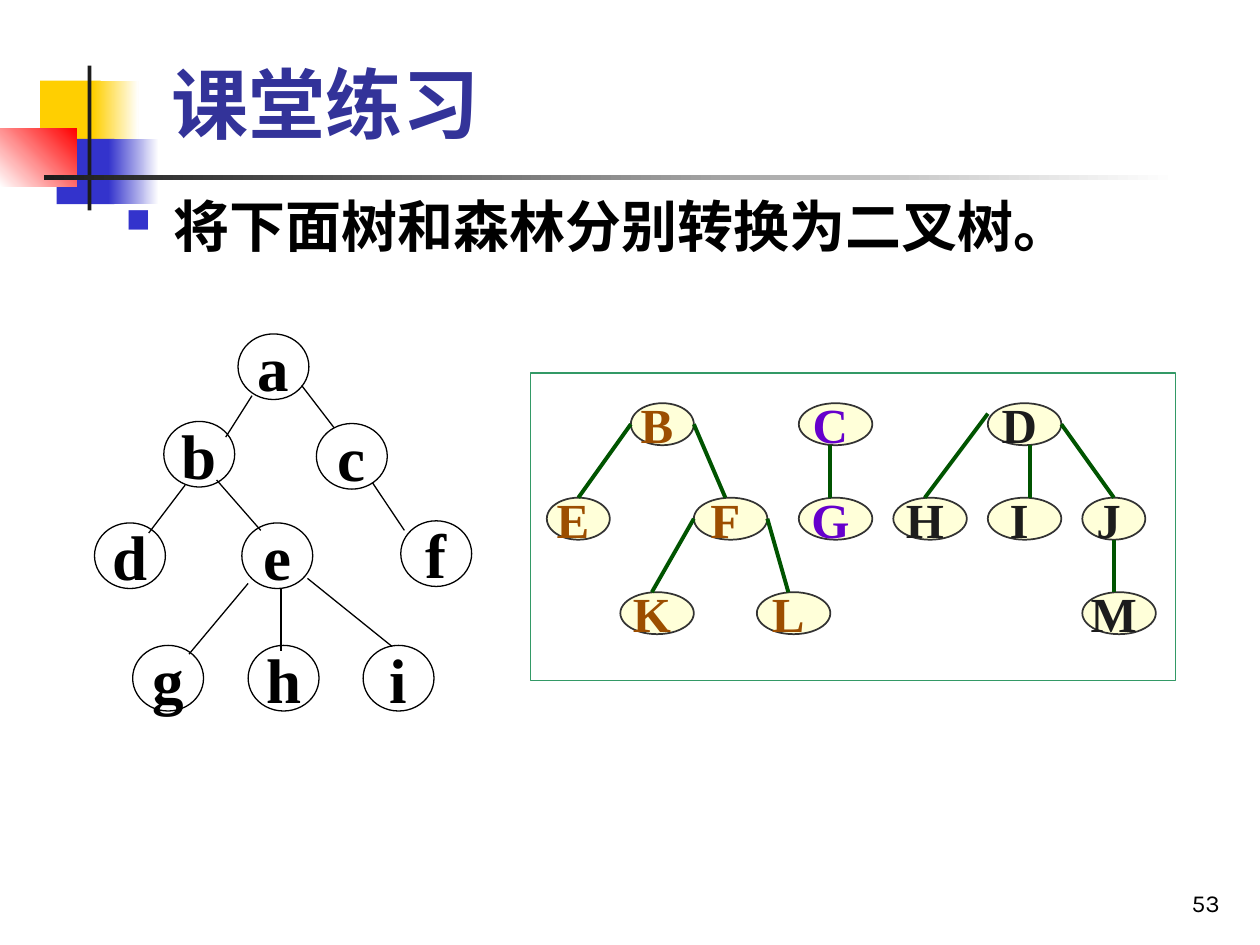
from dataclasses import dataclass

from lxml.etree import SubElement
from pptx import Presentation
from pptx.dml.color import RGBColor
from pptx.enum.shapes import MSO_CONNECTOR, MSO_SHAPE
from pptx.enum.text import MSO_ANCHOR, MSO_AUTO_SIZE, PP_ALIGN
from pptx.oxml.ns import qn
from pptx.util import Pt


@dataclass(frozen=True)
class Theme:
    font: str = "Karla"
    node_font: str = "Times New Roman"
    title: str = "333399"
    text: str = "000000"
    white: str = "FFFFFF"
    yellow: str = "FFCF01"
    blue: str = "3333CC"
    red: str = "FF0000"
    dark: str = "1C1C1C"
    node_fill: str = "FFFFD9"
    node_line: str = "333333"
    edge: str = "005400"
    frame: str = "339966"
    brown: str = "9C4E00"
    purple: str = "6600CC"
    title_size: int = 44
    body_size: int = 32
    tree_size: int = 36
    forest_size: int = 28
    gap_size: int = 24
    number_size: int = 14


THEME = Theme()


def rgb(value):
    return RGBColor.from_string(value)


def add_run(paragraph, text, size, color, font=THEME.font, bold=False):
    run = paragraph.add_run()
    run.text = text
    run.font.name = font
    run.font.size = Pt(size)
    run.font.bold = bold
    run.font.color.rgb = rgb(color)


def add_outline(slide, kind, box, fill=None, line=None, width=0.75):
    outline = slide.shapes.add_shape(kind, *map(Pt, box))
    outline.shadow.inherit = False
    if fill:
        outline.fill.solid()
        outline.fill.fore_color.rgb = rgb(fill)
    else:
        outline.fill.background()
    if line:
        outline.line.color.rgb = rgb(line)
        outline.line.width = Pt(width)
    else:
        outline.line.fill.background()
    return outline


def add_fade(slide, box, start, end, angle=0):
    fade = add_outline(slide, MSO_SHAPE.RECTANGLE, box)
    fade.fill.gradient()
    fade.fill.gradient_angle = angle
    for stop, color in zip(fade.fill.gradient_stops, (start, end)):
        stop.color.rgb = rgb(color)


def add_node(slide, box, runs, fill=None, line=THEME.text, width=0.75):
    node = add_outline(slide, MSO_SHAPE.OVAL, box, fill, line, width)
    frame = node.text_frame
    frame.word_wrap = False
    frame.vertical_anchor = MSO_ANCHOR.MIDDLE
    label = frame.paragraphs[0]
    label.alignment = PP_ALIGN.CENTER
    for text, size, color, bold in runs:
        add_run(label, text, size, color, THEME.node_font, bold)


def add_edge(slide, start, end, color, width):
    edge = slide.shapes.add_connector(
        MSO_CONNECTOR.STRAIGHT, *map(Pt, (*start, *end)))
    edge.line.color.rgb = rgb(color)
    edge.line.width = Pt(width)
    SubElement(edge.element.spPr, qn("a:effectLst"))


def add_ornament(slide, left, top):
    """Coloured squares and the two crossing rules beside the title."""
    def at(x, y, width, height):
        return left + x, top + y, width, height

    square = MSO_SHAPE.RECTANGLE
    add_outline(slide, square, at(23, 8.6, 34.5, 37.4), THEME.yellow)
    add_fade(slide, at(53.3, 8.6, 25.9, 37.4), THEME.yellow, THEME.white)
    add_outline(slide, square, at(32.4, 41.8, 33, 37.4), THEME.blue)
    add_fade(slide, at(62, 41.8, 28.8, 37.4), THEME.blue, THEME.white)
    add_fade(slide, at(0, 36, 44, 33.4), THEME.white, THEME.red, 45)
    add_outline(slide, square, at(50, 0, 2.3, 82.8), THEME.dark)
    add_fade(slide, at(25.2, 62.8, 648, 2.5), THEME.dark, THEME.white)


def add_title(slide, box, text):
    title = slide.shapes.title
    title.left, title.top, title.width, title.height = map(Pt, box)
    frame = title.text_frame
    frame.auto_size = MSO_AUTO_SIZE.NONE
    frame.vertical_anchor = MSO_ANCHOR.BOTTOM
    heading = frame.paragraphs[0]
    heading.alignment = PP_ALIGN.LEFT
    add_run(heading, text, THEME.title_size, THEME.title, bold=True)


def add_task(slide, box, text):
    frame = slide.shapes.add_textbox(*map(Pt, box)).text_frame
    frame.word_wrap = True
    task = frame.paragraphs[0]
    # Hanging square bullet
    props = task._p.get_or_add_pPr()
    props.set("marL", str(Pt(27)))
    props.set("indent", str(-Pt(27)))
    SubElement(SubElement(props, qn("a:buClr")), qn("a:srgbClr"), val=THEME.blue)
    SubElement(props, qn("a:buSzPct"), val="60000")
    SubElement(props, qn("a:buChar"), char="■")
    add_run(task, text, THEME.body_size, THEME.text, bold=True)


def add_tree(slide, left, top):
    nodes = {
        "a": (82, 0), "b": (39.6, 50), "c": (126.8, 51.2),
        "d": (0, 108), "e": (84.2, 108), "f": (175, 106.8),
        "g": (21.8, 178), "h": (87.8, 178), "i": (153.5, 178),
    }
    edges = [
        ((90, 35.3), (75, 59)), ((118.4, 29.5), (136.8, 53.5)),
        ((51.8, 86.4), (31, 113.8)), ((69.8, 83.5), (95, 112.3)),
        ((158.8, 85), (177.1, 112.3)), ((87.8, 142.6), (54, 183)),
        ((106.5, 145.4), (106.5, 181.4)), ((121.7, 139.7), (170, 178.6)),
    ]
    for letter, (x, y) in nodes.items():
        add_node(slide, (left + x, top + y, 40.5, 37.5),
                 [(letter, THEME.tree_size, THEME.text, True)])
    for ends in edges:
        start, end = ((left + x, top + y) for x, y in ends)
        add_edge(slide, start, end, THEME.text, 0.75)


def add_forest(slide, box):
    """Three trees on a 6 pt grid inside a thin frame."""
    left, top, _, _ = box
    step, node_height, level_pitch = 6, 4, 9

    def at(column, row):
        return left + 9.4 + column * step, top + 17.3 + row * step

    # Colour, nodes (letter, column, level, width), edges between grid points
    trees = [
        (THEME.brown,
         [("B", 8, 0, 6), ("E", 0, 1, 6), ("F", 14, 1, 7),
          ("K", 7, 2, 7), ("L", 20, 2, 7)],
         [((8, 2), (3, 9)), ((14, 2), (17, 9)),
          ((14, 11), (10, 18)), ((21, 11), (23, 18))]),
        (THEME.purple,
         [("C", 24, 0, 7), ("G", 24, 1, 7)],
         [((27, 4), (27, 9))]),
        (THEME.dark,
         [("D", 42, 0, 7), ("H", 33, 1, 7), ("I", 42, 1, 7),
          ("J", 51, 1, 6), ("M", 51, 2, 7)],
         [((42, 1), (36, 9)), ((46, 4), (46, 9)),
          ((49, 2), (54, 9)), ((54, 13), (54, 18))]),
    ]
    for color, nodes, edges in trees:
        for letter, column, level, width in nodes:
            add_node(slide,
                     (*at(column, level * level_pitch), width * step, node_height * step),
                     [(letter, THEME.forest_size, color, True),
                      (" ", THEME.gap_size, THEME.text, False)],
                     THEME.node_fill, THEME.node_line, 1)
        for start, end in edges:
            add_edge(slide, at(*start), at(*end), THEME.edge, 2.25)
    add_outline(slide, MSO_SHAPE.RECTANGLE, box, line=THEME.frame)


def add_page_number(slide, box, text):
    frame = slide.shapes.add_textbox(*map(Pt, box)).text_frame
    frame.word_wrap = True
    frame.vertical_anchor = MSO_ANCHOR.BOTTOM
    number = frame.paragraphs[0]
    number.alignment = PP_ALIGN.RIGHT
    number.line_spacing = 0.8
    add_run(number, text, THEME.number_size, THEME.text)


def main():
    deck = Presentation()
    deck.slide_width, deck.slide_height = Pt(720), Pt(540)
    slide = deck.slides.add_slide(deck.slide_layouts[5])
    add_ornament(slide, 0, 37.5)
    add_title(slide, (90.7, 16.5, 613.5, 72), "课堂练习")
    add_task(slide, (64.8, 105.8, 612, 73.5), "将下面树和森林分别转换为二叉树。")
    add_tree(slide, 54, 190.8)
    add_forest(slide, (303.1, 213.1, 368.6, 175.7))
    add_page_number(slide, (554.4, 491.8, 149.8, 36), "53")
    deck.save("out.pptx")


if __name__ == "__main__":
    main()
